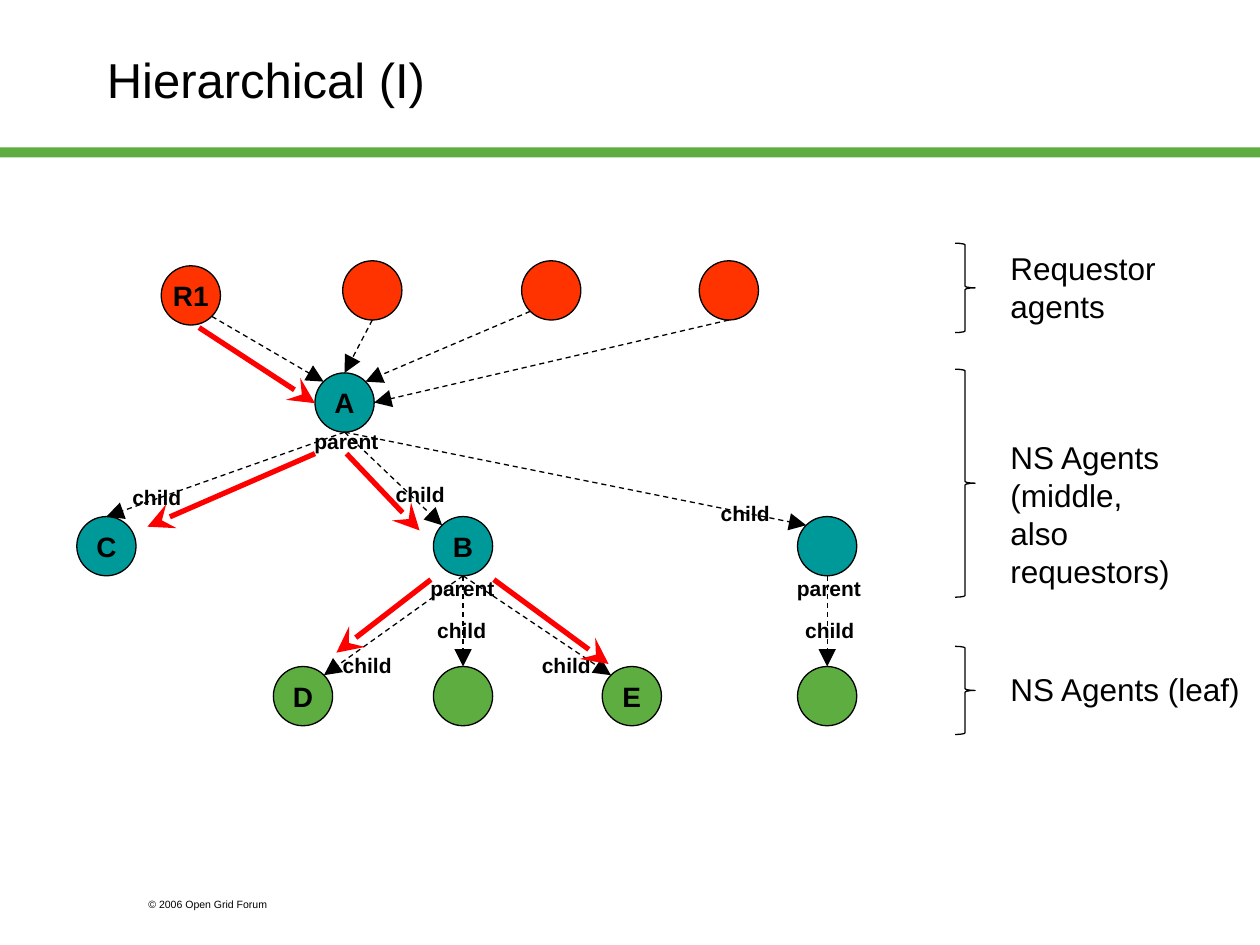
from dataclasses import dataclass
from math import sqrt

from lxml.etree import SubElement
from pptx import Presentation
from pptx.dml.color import RGBColor
from pptx.enum.dml import MSO_LINE
from pptx.enum.shapes import MSO_CONNECTOR, MSO_SHAPE
from pptx.enum.text import MSO_ANCHOR, PP_ALIGN
from pptx.oxml.ns import qn
from pptx.util import Inches, Pt


@dataclass(frozen=True)
class Theme:
    font: str = "Arial"
    black: str = "000000"
    red: str = "FF0000"
    requestor: str = "FF3300"
    middle: str = "009999"
    green: str = "5DAD41"
    title: float = 28
    level: float = 18
    node: float = 16
    role: float = 12
    footer: float = 6
    thin: float = 0.75
    thick: float = 3


T = Theme()
DIAMETER = 0.47
RADIUS = DIAMETER / 2
DIAGONAL = RADIUS / sqrt(2)
SITES = {
    "N": (0, -RADIUS), "S": (0, RADIUS), "E": (RADIUS, 0),
    "NW": (-DIAGONAL, -DIAGONAL), "NE": (DIAGONAL, -DIAGONAL),
    "SW": (-DIAGONAL, DIAGONAL), "SE": (DIAGONAL, DIAGONAL),
}
Point = tuple[float, float]


@dataclass(frozen=True)
class Node:
    x: float
    y: float
    fill: str
    name: str = ""

    def site(self, direction: str) -> Point:
        """Point on the circle's edge in a compass direction."""
        dx, dy = SITES[direction]
        return self.x + RADIUS + dx, self.y + RADIUS + dy


@dataclass(frozen=True)
class Level:
    brace_y: float
    brace_h: float
    text_y: float
    text_w: float
    text_h: float
    lines: tuple[str, ...]


REQ_Y, MID_Y, LEAF_Y = 2.07, 4.1, 5.29
R1 = Node(1.28, 2.11, T.requestor, "R1")
R2, R3, R4 = (Node(x, REQ_Y, T.requestor) for x in (2.72, 4.14, 5.55))
A = Node(2.5, 2.96, T.middle, "A")
B = Node(3.44, MID_Y, T.middle, "B")
C = Node(0.61, MID_Y, T.middle, "C")
MID = Node(6.33, MID_Y, T.middle)
D = Node(2.17, LEAF_Y, T.green, "D")
E = Node(4.78, LEAF_Y, T.green, "E")
LEAF_B = Node(3.44, LEAF_Y, T.green)
LEAF_MID = Node(6.33, LEAF_Y, T.green)
NODES = [A, B, C, MID, D, E, LEAF_B, LEAF_MID, R1, R2, R3, R4]

LINKS = [
    (R1, "SE", A, "NW"), (R2, "S", A, "N"), (R3, "SW", A, "NE"), (R4, "S", A, "E"),
    (A, "S", B, "NW"), (A, "S", C, "N"), (A, "S", MID, "NW"),
    (B, "S", E, "NW"), (B, "S", D, "NE"), (B, "S", LEAF_B, "N"),
    (MID, "S", LEAF_MID, "N"),
]
QUERY_PATH = [
    ((1.58, 2.6), (2.5, 3.2)), ((2.5, 3.6), (1.17, 4.18)), ((2.75, 3.6), (3.33, 4.21)),
    ((3.42, 4.6), (2.67, 5.18)), ((3.92, 4.6), (4.83, 5.27)),
]
ROLE_WIDTHS = {"parent": 1, "child": 0.83}
ROLES = {
    "parent": [(2.25, 3.35), (3.17, 4.52), (6.08, 4.52)],
    "child": [(0.83, 3.8), (2.92, 3.77), (5.5, 3.92), (2.5, 5.13), (4.08, 5.13),
              (3.25, 4.85), (6.17, 4.85)],
}
LEVELS = [
    Level(1.93, 0.71, 1.93, 1.59, 0.7, ("Requestor", "agents")),
    Level(2.93, 1.81, 3.43, 1.61, 1, ("NS Agents", "(middle, also\vrequestors)")),
    Level(5.13, 0.7, 5.27, 2.08, 0.4, ("NS Agents (leaf)",)),
]


def rgb(value: str) -> RGBColor:
    return RGBColor.from_string(value)


def write(tf, lines: tuple[str, ...], size: float, bold: bool = False,
          align: PP_ALIGN = PP_ALIGN.LEFT) -> None:
    tf.text = "\n".join(lines)
    fmt = {"name": T.font, "size": Pt(size), "bold": bold}
    for p in tf.paragraphs:
        p.alignment = align
        for r in p.runs:
            for key, value in fmt.items():
                setattr(r.font, key, value)
            r.font.color.rgb = rgb(T.black)


def add_text(s, x: float, y: float, w: float, h: float, lines: tuple[str, ...],
             size: float, bold: bool = False, align: PP_ALIGN = PP_ALIGN.LEFT,
             anchor: MSO_ANCHOR = MSO_ANCHOR.TOP) -> None:
    tf = s.shapes.add_textbox(Inches(x), Inches(y), Inches(w), Inches(h)).text_frame
    tf.word_wrap = True
    tf.vertical_anchor = anchor
    write(tf, lines, size, bold, align)


def add_shape(s, kind: MSO_SHAPE, x: float, y: float, w: float, h: float,
              fill: str = "", line: str = ""):
    sp = s.shapes.add_shape(kind, Inches(x), Inches(y), Inches(w), Inches(h))
    sp.shadow.inherit = False
    for part, colour in ((sp.fill, fill), (sp.line.fill, line)):
        if colour:
            part.solid()
            part.fore_color.rgb = rgb(colour)
        else:
            part.background()
    if line:
        sp.line.width = Pt(T.thin)
    return sp


def add_node(s, node: Node) -> None:
    sp = add_shape(s, MSO_SHAPE.OVAL, node.x, node.y, DIAMETER, DIAMETER,
                   node.fill, T.black)
    if node.name:
        tf = sp.text_frame
        tf.word_wrap = False
        tf.vertical_anchor = MSO_ANCHOR.MIDDLE
        write(tf, (node.name,), T.node, True, PP_ALIGN.CENTER)


def add_arrow(s, start: Point, end: Point, colour: str, width: float, head: str,
              dashed: bool = False) -> None:
    cx = s.shapes.add_connector(MSO_CONNECTOR.STRAIGHT,
                                *(Inches(v) for v in (*start, *end)))
    cx.line.color.rgb = rgb(colour)
    cx.line.width = Pt(width)
    if dashed:
        cx.line.dash_style = MSO_LINE.DASH
    SubElement(cx.line._get_or_add_ln(), qn("a:tailEnd"), type=head, w="lg", len="lg")
    SubElement(cx._element.spPr, qn("a:effectLst"))


def main() -> None:
    prs = Presentation()
    prs.slide_width, prs.slide_height = Inches(10), Inches(7.5)
    s = prs.slides.add_slide(prs.slide_layouts[6])

    add_shape(s, MSO_SHAPE.RECTANGLE, 0, 1.17, 10, 0.08, T.green)
    add_text(s, 1.08, 7.08, 1.5, 0.2, ("© 2006 Open Grid Forum",), T.footer)
    add_text(s, 0.75, 0, 8.5, 1.25, ("Hierarchical (I)",), T.title,
             anchor=MSO_ANCHOR.MIDDLE)

    for node in NODES:
        add_node(s, node)
    for source, leave, target, enter in LINKS:
        add_arrow(s, source.site(leave), target.site(enter), T.black, T.thin,
                  "triangle", dashed=True)
    for role, places in ROLES.items():
        for x, y in places:
            add_text(s, x, y, ROLE_WIDTHS[role], 0.3, (role,), T.role, True,
                     PP_ALIGN.CENTER)
    for level in LEVELS:
        add_shape(s, MSO_SHAPE.RIGHT_BRACE, 7.58, level.brace_y, 0.16, level.brace_h,
                  line=T.black)
        add_text(s, 7.92, level.text_y, level.text_w, level.text_h, level.lines, T.level)
    for start, end in QUERY_PATH:
        add_arrow(s, start, end, T.red, T.thick, "stealth")

    prs.save("out.pptx")


if __name__ == "__main__":
    main()
